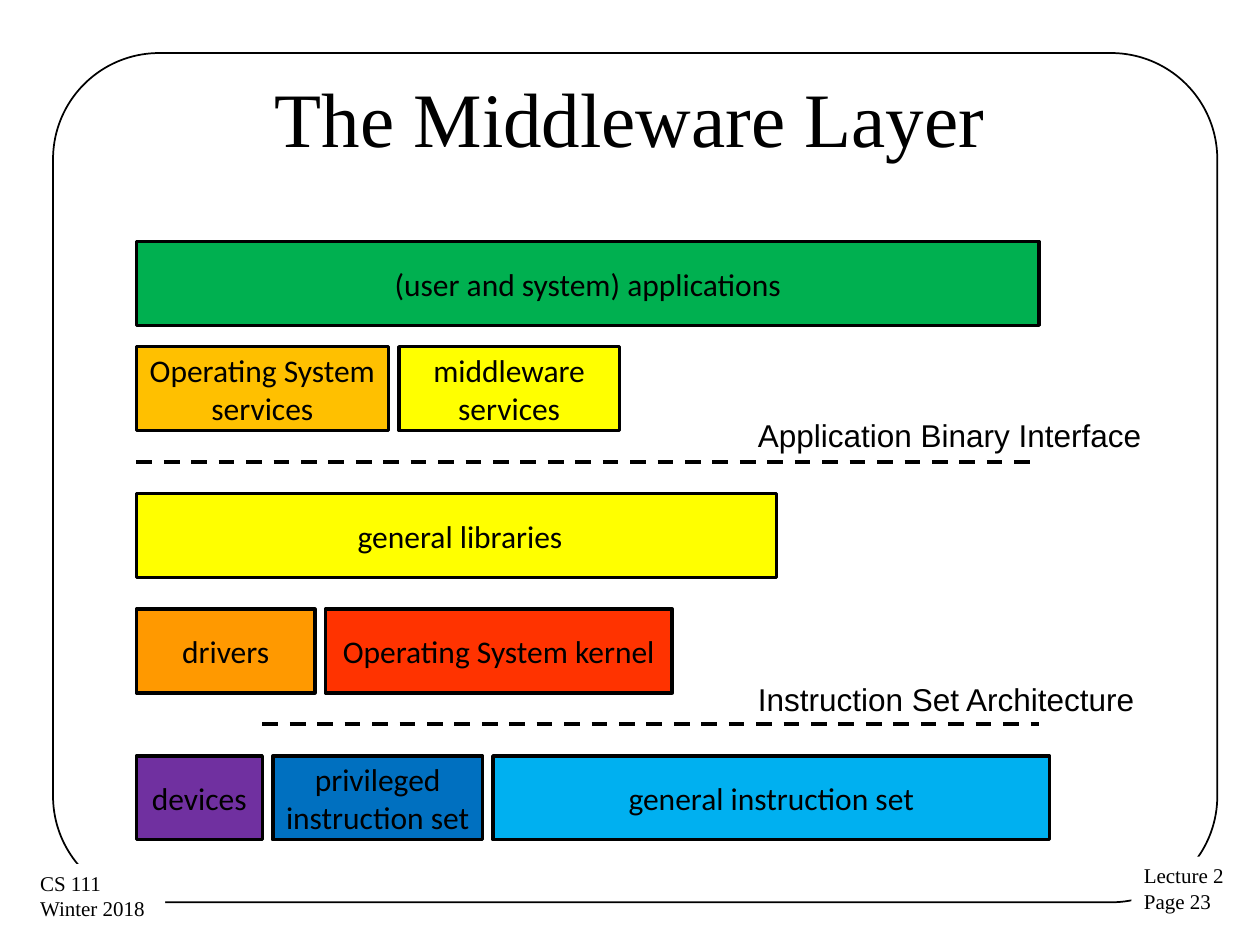
"""Build the slide on the middleware layer of a software stack."""
from dataclasses import dataclass

from lxml import etree
from pptx import Presentation
from pptx.dml.color import RGBColor
from pptx.enum.dml import MSO_LINE
from pptx.enum.shapes import MSO_CONNECTOR, MSO_SHAPE
from pptx.enum.text import MSO_ANCHOR, MSO_AUTO_SIZE, PP_ALIGN
from pptx.oxml.ns import qn
from pptx.util import Cm, Pt

RECTANGLE = MSO_SHAPE.RECTANGLE
ROUNDED = MSO_SHAPE.ROUNDED_RECTANGLE
STRAIGHT = MSO_CONNECTOR.STRAIGHT
DASH = MSO_LINE.DASH
LEFT, CENTER = PP_ALIGN.LEFT, PP_ALIGN.CENTER
TOP, MIDDLE = MSO_ANCHOR.TOP, MSO_ANCHOR.MIDDLE
GROW = MSO_AUTO_SIZE.SHAPE_TO_FIT_TEXT

COLORS = {
    "black": "000000", "white": "FFFFFF", "green": "00B050", "gold": "FFC000",
    "yellow": "FFFF00", "orange": "FF9900", "red": "FF3300",
    "purple": "7030A0", "blue": "0070C0", "sky": "00B0F0",
}
SERIF, SANS, BOX_FONT = "Times New Roman", "Arial", "Calibri"
STACK_LEFT, BOX_HEIGHT, BOX_GAP = 2.75, 1.69, 0.21
LABEL_LEFT, LABEL_WIDTH, LABEL_HEIGHT = 15.03, 8.26, 1.03


@dataclass
class Box:
    text: str
    width: float
    color: str


@dataclass
class Layer:
    top: float
    boxes: list[Box]


@dataclass
class Interface:
    text: str
    label_top: float
    line_top: float
    line_left: float
    line_right: float


@dataclass
class CornerNote:
    text: str
    left: float
    top: float
    width: float


LAYERS = [
    Layer(4.87, [Box("(user and system) applications", 18.2, "green")]),
    Layer(6.99, [Box("Operating System services", 5.08, "gold"),
                 Box("middleware services", 4.45, "yellow")]),
    Layer(9.95, [Box(" general libraries", 12.91, "yellow")]),
    Layer(12.28, [Box("drivers", 3.6, "orange"),
                  Box("Operating System kernel", 6.99, "red")]),
    Layer(15.24, [Box("devices", 2.54, "purple"),
                  Box("privileged instruction set", 4.23, "blue"),
                  Box("general instruction set", 11.22, "sky")]),
]
INTERFACES = [
    Interface("Application Binary Interface", 8.26, 9.31, STACK_LEFT, 20.95),
    Interface("Instruction Set Architecture", 13.58, 14.6, 5.29, 20.95),
]
CORNER_NOTES = [
    CornerNote("Lecture 2\nPage 23", 22.81, 17.27, 2.16),
    CornerNote("CS 111\nWinter 2018", 0.56, 17.42, 2.77),
]


def color(name: str) -> RGBColor:
    return RGBColor.from_string(COLORS[name])


def write(shape, text: str, font: str, size: float, align=LEFT, anchor=TOP) -> None:
    frame = shape.text_frame
    frame.text = text
    frame.vertical_anchor = anchor
    for paragraph in frame.paragraphs:
        paragraph.alignment = align
        for run in paragraph.runs:
            run.font.name = font
            run.font.size = Pt(size)
            run.font.color.rgb = color("black")


def draw_frame(shapes) -> None:
    frame = shapes.add_shape(ROUNDED, Cm(1.07), Cm(1.07), Cm(23.47), Cm(17.12))
    frame.adjustments[0] = 0.125
    frame.shadow.inherit = False
    frame.fill.background()
    frame.line.color.rgb = color("black")
    frame.line.width = Pt(1)


def draw_corner_note(shapes, note: CornerNote) -> None:
    shape = shapes.add_shape(RECTANGLE, Cm(note.left), Cm(note.top), Cm(note.width), Cm(1.3))
    shape.shadow.inherit = False
    shape.fill.solid()
    shape.fill.fore_color.rgb = color("white")
    shape.line.fill.background()
    write(shape, note.text, SERIF, 12)
    shape.text_frame.word_wrap = False
    shape.text_frame.auto_size = GROW


def draw_layer(shapes, layer: Layer) -> None:
    left = STACK_LEFT
    for box in layer.boxes:
        shape = shapes.add_shape(RECTANGLE, Cm(left), Cm(layer.top), Cm(box.width), Cm(BOX_HEIGHT))
        shape.shadow.inherit = False
        shape.fill.solid()
        shape.fill.fore_color.rgb = color(box.color)
        shape.line.color.rgb = color("black")
        shape.line.width = Pt(2)
        write(shape, box.text, BOX_FONT, 18, CENTER, MIDDLE)
        shape.text_frame.word_wrap = True
        left += box.width + BOX_GAP


def draw_interface(shapes, interface: Interface) -> None:
    height = Cm(interface.line_top)
    line = shapes.add_connector(
        STRAIGHT, Cm(interface.line_left), height, Cm(interface.line_right), height)
    line.line.color.rgb = color("black")
    line.line.width = Pt(2.25)
    line.line.dash_style = DASH
    etree.SubElement(line._element.spPr, qn("a:effectLst"))
    label = shapes.add_textbox(
        Cm(LABEL_LEFT), Cm(interface.label_top), Cm(LABEL_WIDTH), Cm(LABEL_HEIGHT))
    write(label, interface.text, SANS, 18)
    label.text_frame.word_wrap = True
    label.text_frame.auto_size = GROW


def main() -> None:
    presentation = Presentation()
    presentation.slide_width, presentation.slide_height = Cm(25.4), Cm(19.05)
    slide = presentation.slides.add_slide(presentation.slide_layouts[5])
    shapes = slide.shapes
    title = shapes.title
    title.left, title.top, title.width, title.height = Cm(1.27), Cm(0.76), Cm(22.86), Cm(3.18)
    write(title, "The Middleware Layer", SERIF, 44, CENTER, MIDDLE)
    draw_frame(shapes)
    for note in CORNER_NOTES:
        draw_corner_note(shapes, note)
    for layer in LAYERS:
        draw_layer(shapes, layer)
    for interface in INTERFACES:
        draw_interface(shapes, interface)
    presentation.save("out.pptx")


main()
